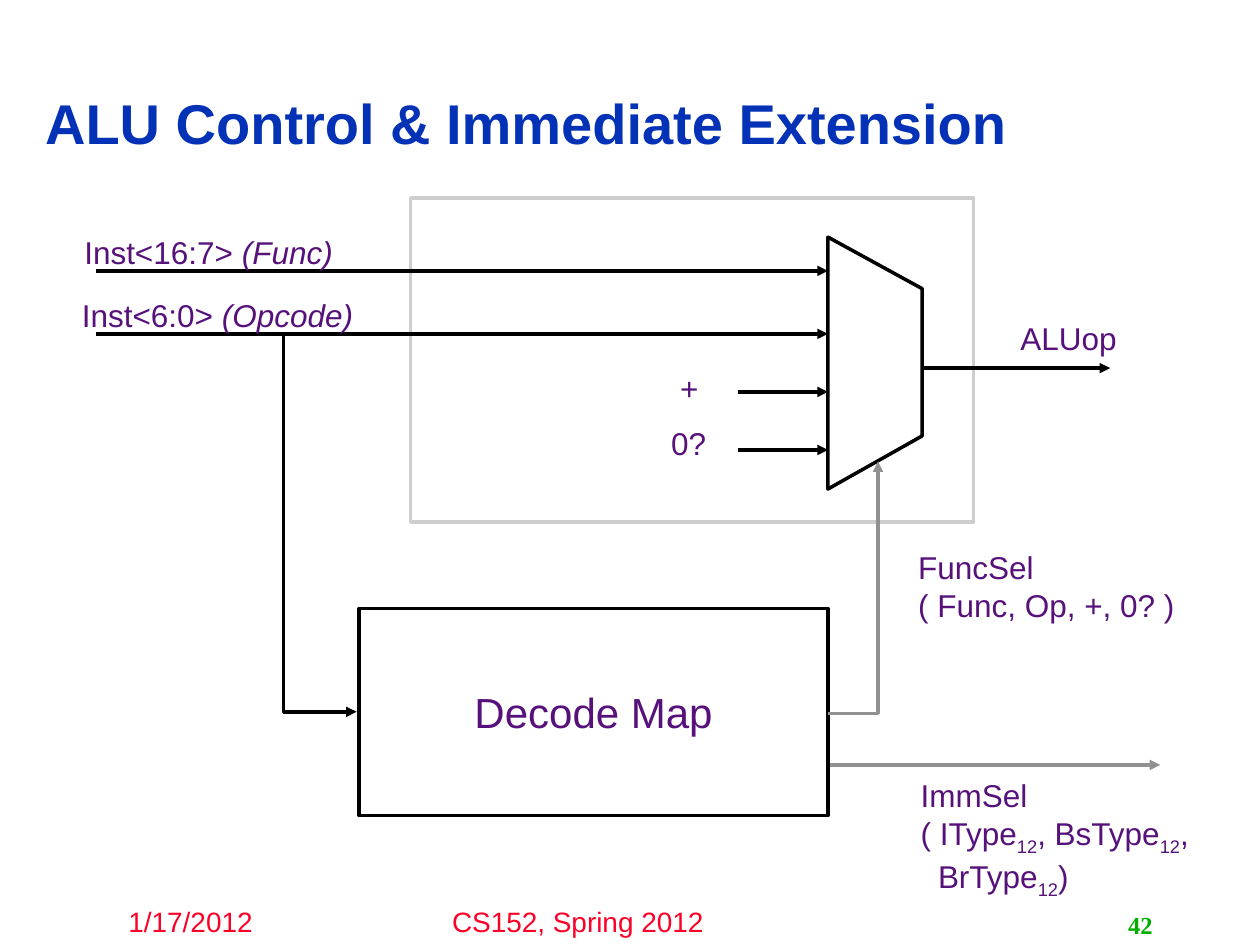
from pptx import Presentation
from pptx.dml.color import RGBColor as RGB
from pptx.enum.shapes import MSO_CONNECTOR as CONN, MSO_SHAPE as SHAPE
from pptx.enum.text import MSO_ANCHOR as ANCHOR, PP_ALIGN as ALIGN
from pptx.oxml.ns import qn
from pptx.util import Cm, Pt
from lxml.etree import SubElement

THEME = {
    "colors": {"title": "0332B7", "label": "56127A", "footer": "FC0128", "number": "00AE00",
               "signal": "000000", "control": "919191", "frame": "CECECE"},
    "fonts": {"number": "Times New Roman"},
    "font": "Arial",
    "sizes": {"title": 32, "block": 24, "label": 18, "footer": 16, "number": 14},
    "line": 2,
}

MUX_X = 16.69
TITLE = ("ALU Control & Immediate Extension", (0.66, 1.42, 23.98, 2.24))
FRAME = (8.28, 3.99, 11.35, 6.53)
DECODE = ("Decode Map", (7.24, 12.27, 9.45, 4.17))
MUX = [(MUX_X, 4.78), (18.59, 5.82), (18.59, 8.79), (MUX_X, 9.86)]

MUX_INPUTS = [(1.93, 5.46), (1.93, 6.73), (14.88, 7.9), (14.88, 9.07)]
ARROWS = [((x, y), (MUX_X, y), "signal") for x, y in MUX_INPUTS] + [
    ((18.62, 7.42), (22.38, 7.42), "signal"),
    ((MUX_X, 15.42), (23.39, 15.42), "control"),
]
BENT_ARROWS = [
    ([(5.72, 6.78), (5.72, 14.35), (7.19, 14.35)], "signal"),
    ([(MUX_X, 14.38), (17.7, 14.38), (17.7, 9.3)], "control"),
]

SUB12 = ("12", "sub")
LABELS = [
    ((1.45, 4.57, 5.69, 1.02), [["Inst<16:7>", (" (Func)", "italic")]]),
    ((1.4, 5.84, 6.15, 1.02), [["Inst<6:0> ", ("(Opcode)", "italic")]]),
    ((20.32, 6.3, 2.51, 1.02), [["ALUop"]]),
    ((13.46, 7.32, 0.86, 1.02), [["+"]]),
    ((13.28, 8.43, 1.22, 1.02), [["0?"]]),
    ((18.26, 10.92, 5.74, 1.78), [["FuncSel"], ["( Func, Op, +, 0? )"]]),
    ((18.31, 15.52, 6.1, 2.57), [["ImmSel"],
                                 ["( IType", SUB12, ", BsType", SUB12, ","],
                                 ["BrType", SUB12, ")"]]),
]
HANGING = {"BrType": 0.35}
FOOTERS = [
    ("1/17/2012", (2.34, 18.11, 3.05, 0.94), "footer", ALIGN.LEFT, ANCHOR.TOP),
    ("CS152, Spring 2012", (7.42, 18.11, 8.46, 0.94), "footer", ALIGN.CENTER, ANCHOR.TOP),
    ("42", (18.21, 18.24, 5.28, 0.81), "number", ALIGN.RIGHT, ANCHOR.MIDDLE),
]


def lengths(values):
    return [Cm(v) for v in values]


def stroke(s, color, arrow=False):
    s.line.color.rgb = RGB.from_string(THEME["colors"][color])
    s.line.width = Pt(THEME["line"])
    if arrow:
        SubElement(s._element.spPr.find(qn("a:ln")), qn("a:tailEnd"), type="triangle")


def write(s, lines, role, color=None, align=ALIGN.LEFT, anchor=ANCHOR.TOP, wrap=False):
    tf = s.text_frame
    tf.word_wrap = wrap
    tf.vertical_anchor = anchor
    for i, pieces in enumerate(lines):
        p = tf.add_paragraph() if i else tf.paragraphs[0]
        p.alignment = align
        if pieces[0] in HANGING:
            p._p.get_or_add_pPr().set("marL", str(Cm(HANGING[pieces[0]])))
        for piece in pieces:
            text, style = (piece, "") if isinstance(piece, str) else piece
            r = p.add_run()
            r.text = text
            r.font.name = THEME["fonts"].get(role, THEME["font"])
            r.font.size = Pt(THEME["sizes"][role])
            r.font.bold = role in ("title", "number")
            r.font.italic = style == "italic"
            r.font.color.rgb = RGB.from_string(THEME["colors"][color or role])
            if style == "sub":
                r._r.get_or_add_rPr().set("baseline", "-25000")


def add_text(shapes, box, lines, role, **options):
    s = shapes.add_textbox(*lengths(box))
    write(s, lines, role, **options)
    return s


def add_box(shapes, box, color):
    s = shapes.add_shape(SHAPE.RECTANGLE, *lengths(box))
    s.shadow.inherit = False
    s.fill.background()
    stroke(s, color)
    return s


def add_path(shapes, points, color, closed=False):
    start, *rest = [lengths(point) for point in points]
    builder = shapes.build_freeform(*start)
    builder.add_line_segments(rest, close=closed)
    s = builder.convert_to_shape()
    s.shadow.inherit = False
    s.fill.background()
    stroke(s, color, arrow=not closed)


def add_arrow(shapes, start, end, color):
    s = shapes.add_connector(CONN.STRAIGHT, *lengths(start + end))
    stroke(s, color, arrow=True)
    SubElement(s._element.spPr, qn("a:effectLst"))


def main():
    prs = Presentation()
    prs.slide_width, prs.slide_height = Cm(25.4), Cm(19.05)
    shapes = prs.slides.add_slide(prs.slide_layouts[6]).shapes

    for text, box, role, align, anchor in FOOTERS:
        add_text(shapes, box, [[text]], role, align=align, anchor=anchor)
    add_box(shapes, FRAME, "frame")
    text, box = TITLE
    title = add_text(shapes, box, [[text]], "title", anchor=ANCHOR.MIDDLE, wrap=True)
    title.text_frame.paragraphs[0].line_spacing = 0.9

    for arrow in ARROWS:
        add_arrow(shapes, *arrow)
    add_path(shapes, MUX, "signal", closed=True)
    text, box = DECODE
    decode = add_box(shapes, box, "signal")
    write(decode, [[text]], "block", color="label", align=ALIGN.CENTER, anchor=ANCHOR.MIDDLE)
    for points, color in BENT_ARROWS:
        add_path(shapes, points, color)
    for box, lines in LABELS:
        add_text(shapes, box, lines, "label")

    prs.save("out.pptx")


if __name__ == "__main__":
    main()
